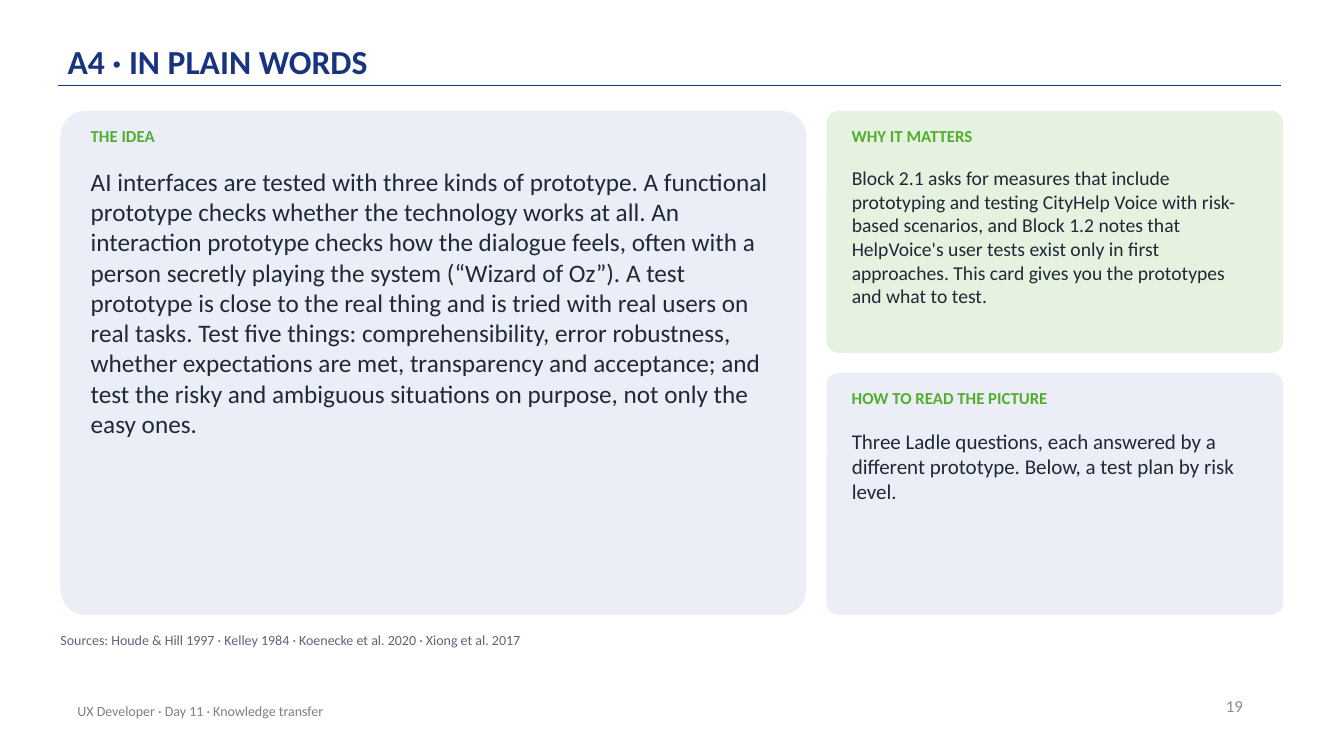
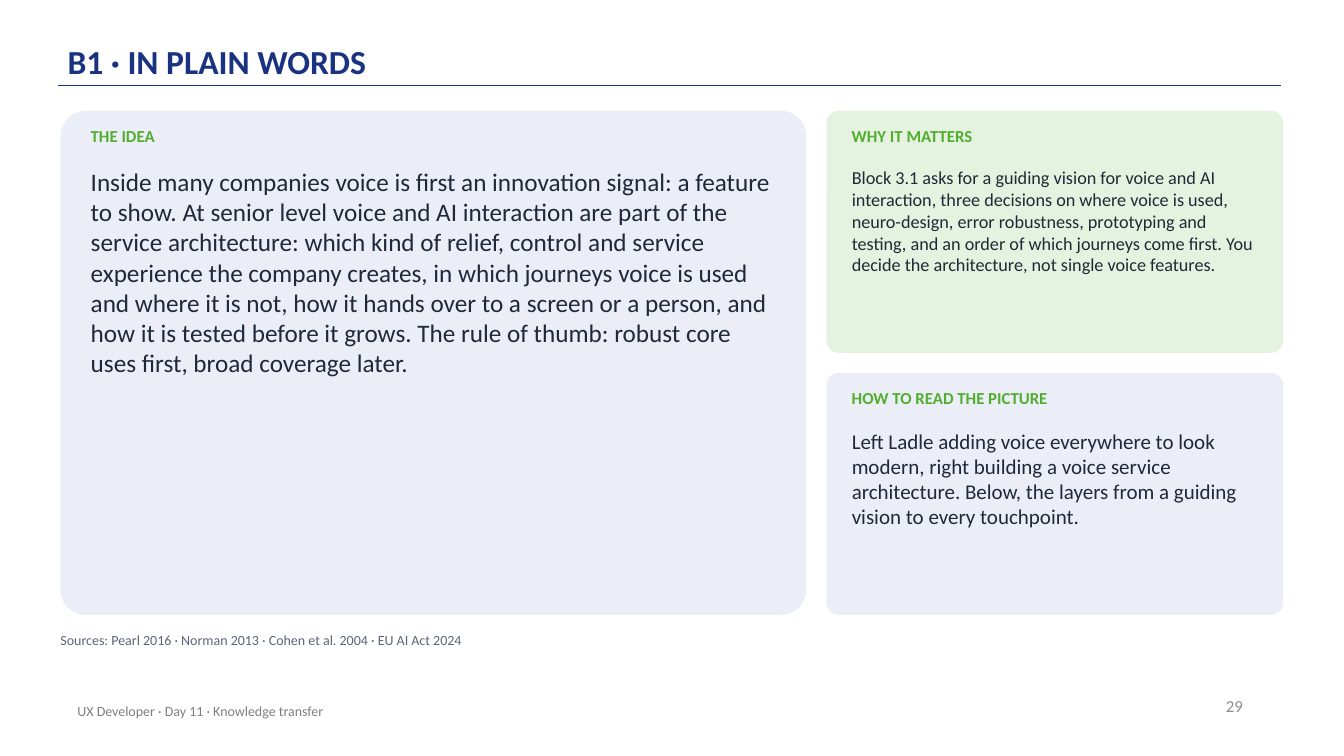
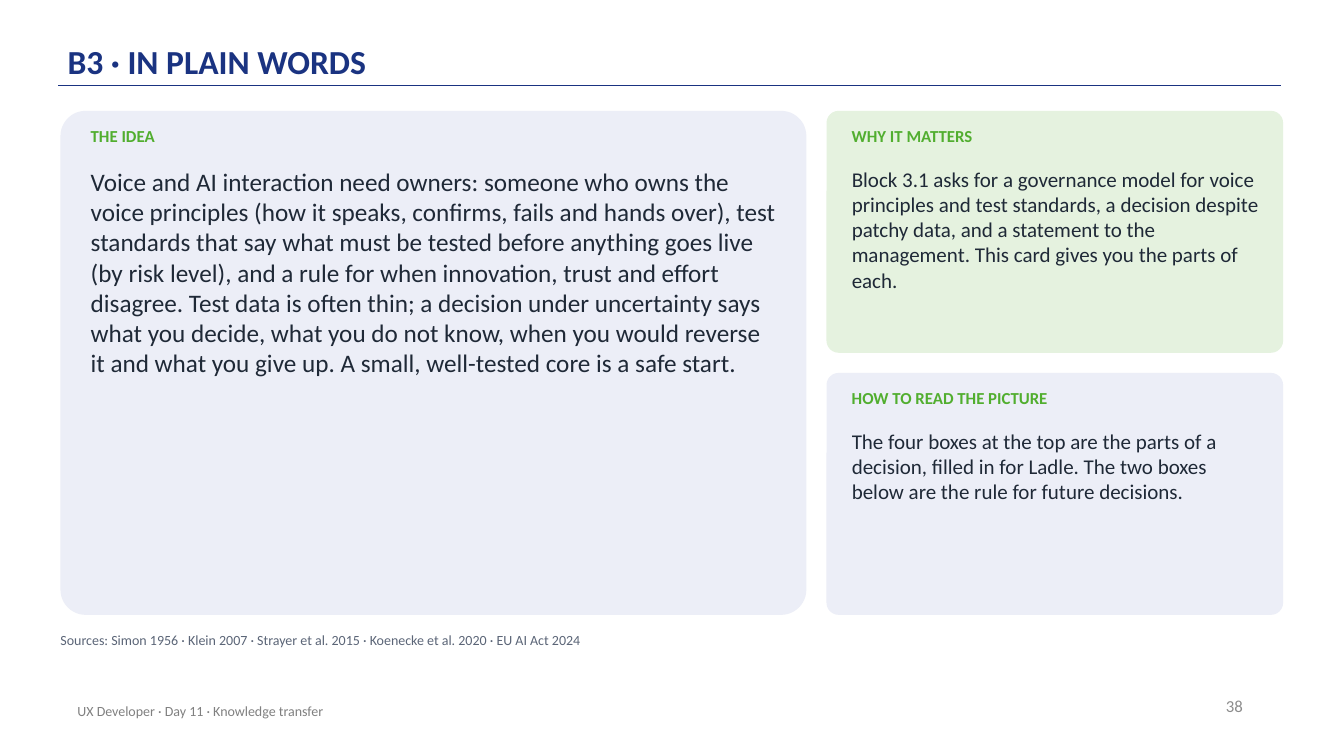
from dataclasses import dataclass

from lxml.etree import SubElement
from pptx import Presentation
from pptx.dml.color import RGBColor
from pptx.enum.shapes import MSO_CONNECTOR, MSO_SHAPE
from pptx.enum.text import MSO_ANCHOR, MSO_AUTO_SIZE, PP_ALIGN
from pptx.oxml.ns import qn
from pptx.util import Pt

FONT = "Calibri"
NAVY, GREEN, INK = "1A3381", "51AE2F", "1F2937"
SOURCE_GREY, NUMBER_GREY, FOOTER_GREY = "5B6577", "8C8C8C", "808080"
PALE_BLUE, PALE_GREEN = "ECEEF7", "E5F2DF"

LEFT, TOP, GAP = 43.2, 79.2, 14.4
IDEA_WIDTH, IDEA_HEIGHT = 532.8, 360
SIDE_LEFT = LEFT + IDEA_WIDTH + GAP
SIDE_WIDTH = 326.16
SIDE_HEIGHT = (IDEA_HEIGHT - GAP) / 2
HEADING_DROP, BODY_DROP = 10.8, 39.6
FOOTER = "UX Developer · Day 11 · Knowledge transfer"


@dataclass
class Card:
    heading: str
    left: float
    top: float
    width: float
    height: float
    padding: float
    fill: str


CARDS = (
    Card("THE IDEA", LEFT, TOP, IDEA_WIDTH, IDEA_HEIGHT, 21.6, PALE_BLUE),
    Card("WHY IT MATTERS", SIDE_LEFT, TOP, SIDE_WIDTH, SIDE_HEIGHT, 18, PALE_GREEN),
    Card("HOW TO READ THE PICTURE", SIDE_LEFT, TOP + SIDE_HEIGHT + GAP,
         SIDE_WIDTH, SIDE_HEIGHT, 18, PALE_BLUE),
)

PAGES = (
    ("A4", 19, (
        ("AI interfaces are tested with three kinds of prototype. A functional prototype "
         "checks whether the technology works at all. An interaction prototype checks how "
         "the dialogue feels, often with a person secretly playing the system (“Wizard of "
         "Oz”). A test prototype is close to the real thing and is tried with real users on "
         "real tasks. Test five things: comprehensibility, error robustness, whether "
         "expectations are met, transparency and acceptance; and test the risky and "
         "ambiguous situations on purpose, not only the easy ones.", 18),
        ("Block 2.1 asks for measures that include prototyping and testing CityHelp Voice "
         "with risk-based scenarios, and Block 1.2 notes that HelpVoice's user tests exist "
         "only in first approaches. This card gives you the prototypes and what to test.", 14),
        ("Three Ladle questions, each answered by a different prototype. Below, a test plan "
         "by risk level.", 15)),
     "Sources: Houde & Hill 1997 · Kelley 1984 · Koenecke et al. 2020 · Xiong et al. 2017"),
    ("B1", 29, (
        ("Inside many companies voice is first an innovation signal: a feature to show. At "
         "senior level voice and AI interaction are part of the service architecture: which "
         "kind of relief, control and service experience the company creates, in which "
         "journeys voice is used and where it is not, how it hands over to a screen or a "
         "person, and how it is tested before it grows. The rule of thumb: robust core uses "
         "first, broad coverage later.", 18),
        ("Block 3.1 asks for a guiding vision for voice and AI interaction, three decisions "
         "on where voice is used, neuro-design, error robustness, prototyping and testing, "
         "and an order of which journeys come first. You decide the architecture, not single "
         "voice features.", 13),
        ("Left Ladle adding voice everywhere to look modern, right building a voice service "
         "architecture. Below, the layers from a guiding vision to every touchpoint.", 15)),
     "Sources: Pearl 2016 · Norman 2013 · Cohen et al. 2004 · EU AI Act 2024"),
    ("B3", 38, (
        ("Voice and AI interaction need owners: someone who owns the voice principles (how it "
         "speaks, confirms, fails and hands over), test standards that say what must be tested "
         "before anything goes live (by risk level), and a rule for when innovation, trust and "
         "effort disagree. Test data is often thin; a decision under uncertainty says what you "
         "decide, what you do not know, when you would reverse it and what you give up. A "
         "small, well-tested core is a safe start.", 18),
        ("Block 3.1 asks for a governance model for voice principles and test standards, a "
         "decision despite patchy data, and a statement to the management. This card gives "
         "you the parts of each.", 15),
        ("The four boxes at the top are the parts of a decision, filled in for Ladle. The two "
         "boxes below are the rule for future decisions.", 15)),
     "Sources: Simon 1956 · Klein 2007 · Strayer et al. 2015 · Koenecke et al. 2020 · EU AI Act 2024"),
)


def colour(value):
    return RGBColor.from_string(value)


def write(box, text, size, ink, bold=False, align=PP_ALIGN.LEFT,
          anchor=MSO_ANCHOR.TOP, insets=(0, 0)):
    frame = box.text_frame
    frame.word_wrap = True
    frame.auto_size = MSO_AUTO_SIZE.NONE
    frame.vertical_anchor = anchor
    frame.margin_left = frame.margin_right = Pt(insets[0])
    frame.margin_top = frame.margin_bottom = Pt(insets[1])
    para = frame.paragraphs[0]
    para.text = text
    para.alignment = align
    font = para.font
    font.name, font.size, font.bold = FONT, Pt(size), bold
    font.color.rgb = colour(ink)
    return para


def add_text(page, left, top, width, height, text, size, ink, **style):
    box = page.shapes.add_textbox(Pt(left), Pt(top), Pt(width), Pt(height))
    return write(box, text, size, ink, **style)


def add_title(page, text):
    title = page.shapes.title
    title.left, title.top, title.width, title.height = Pt(48.24), Pt(8.64), Pt(792), Pt(51.84)
    para = write(title, text, 24, NAVY, bold=True, anchor=MSO_ANCHOR.BOTTOM, insets=(0, 2.16))
    para.line_spacing = 0.9


def add_rule(page):
    rule = page.shapes.add_connector(
        MSO_CONNECTOR.STRAIGHT, Pt(41.76), Pt(61.2), Pt(915.12), Pt(61.2))
    rule.line.color.rgb = colour(NAVY)
    rule.line.width = Pt(1)
    SubElement(rule._element.spPr, qn("a:effectLst"))


def add_footer(page, number):
    style = {"anchor": MSO_ANCHOR.MIDDLE, "insets": (7.2, 3.6)}
    add_text(page, 678.96, 489.6, 216, 28.8, str(number), 12, NUMBER_GREY,
             align=PP_ALIGN.RIGHT, **style)
    add_text(page, 48.24, 493.2, 482.4, 28.8, FOOTER, 10, FOOTER_GREY, **style)


def add_card(page, card, text, size):
    panel = page.shapes.add_shape(
        MSO_SHAPE.ROUNDED_RECTANGLE, Pt(card.left), Pt(card.top), Pt(card.width), Pt(card.height))
    panel.adjustments[0] = 0.05
    panel.shadow.inherit = False
    panel.fill.solid()
    panel.fill.fore_color.rgb = colour(card.fill)
    panel.line.fill.background()
    left = card.left + card.padding
    width = card.width - 2 * card.padding
    add_text(page, left, card.top + HEADING_DROP, width, 25.2,
             card.heading, 12, GREEN, bold=True)
    add_text(page, left, card.top + BODY_DROP, width + 1.5,
             card.height - BODY_DROP - HEADING_DROP, text, size, INK)


def main():
    deck = Presentation()
    deck.slide_width, deck.slide_height = Pt(960), Pt(540)
    for code, number, bodies, sources in PAGES:
        page = deck.slides.add_slide(deck.slide_layouts[5])
        add_rule(page)
        add_title(page, f"{code} · IN PLAIN WORDS")
        add_footer(page, number)
        for card, (text, size) in zip(CARDS, bodies):
            add_card(page, card, text, size)
        add_text(page, LEFT, 451.44, 871.2, 21.6, sources, 10, SOURCE_GREY)
    deck.save("out.pptx")


if __name__ == "__main__":
    main()
